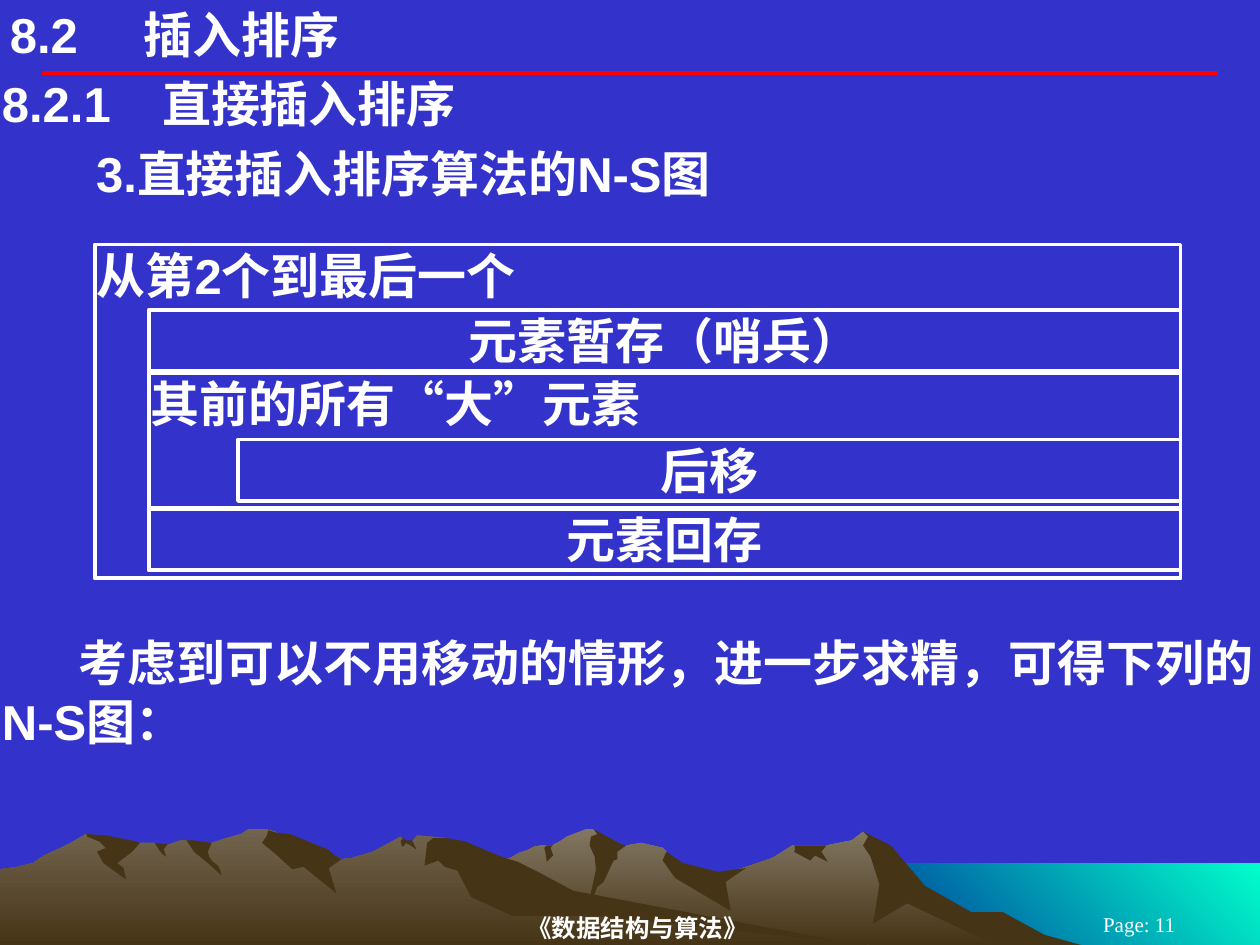
from dataclasses import dataclass

from lxml.etree import SubElement
from pptx import Presentation
from pptx.dml.color import RGBColor as Color
from pptx.enum.shapes import MSO_CONNECTOR as Connector, MSO_SHAPE as Shape
from pptx.enum.text import MSO_ANCHOR as Anchor, MSO_AUTO_SIZE as AutoSize, PP_ALIGN as Align
from pptx.oxml.ns import qn
from pptx.util import Cm, Pt


@dataclass(frozen=True)
class Theme:
    background: str = "3333CC"
    ink: str = "FFFFFF"
    rule: str = "FF0000"
    shade: str = "463416"
    far_slope: tuple = ("837763", "463416")
    near_slope: tuple = ("72644E", "463416")
    water: tuple = ("00FFCC", "003399")
    body_font: str = "Arial"
    footer_font: str = "Times New Roman"
    body_size: int = 28
    footer_size: int = 14
    page_size: int = 12
    line_width: float = 2.25
    inset: float = 0.04


FAR_RIDGE = """802,740 778,727 764,723 723,698 702,671 685,660 676,667 656,671 629,671 613,681
566,697 536,690 529,676 526,673 509,669 497,671 486,673 474,661 471,658 465,658 450,664 444,668
438,671 430,671 424,672 418,675 412,677 405,681 399,683 394,685 355,698 327,709 277,739 258,750
820,750"""
FAR_SHADOWS = (
    """796,724 771,724 734,703 707,671 685,660 689,664 685,671 691,680 698,702 693,733 720,717
    790,750 858,750 829,742""",
    """471,658 474,662 469,664 468,671 472,680 473,690 465,727 474,704 479,700 487,683 490,682
    490,676 497,671 493,670""",
    "529,676 528,678 526,683 536,697 580,723 576,700 592,689 570,692 542,685",
    "650,671 630,671 631,672 631,675 630,676 643,683 647,679 657,684 652,676 656,671",
    "433,677 432,673 434,671 438,671 439,670 437,673 439,679 434,684",
)
NEAR_RIDGE = """690,750 667,748 432,712 354,665 331,663 327,668 323,668 318,664 296,676 279,681
271,682 260,676 236,681 223,663 219,660 212,658 197,658 191,662 180,665 168,669 160,671 148,667
143,667 132,671 128,671 123,669 111,669 94,671 68,662 56,669 46,674 35,679 26,685 14,688 0,690
0,750"""
NEAR_SHADOWS = (
    """212,663 208,669 219,678 232,690 241,688 267,709 261,689 271,682 266,679 260,674 252,671
    238,665 230,662 220,661 213,659""",
    """370,668 354,665 344,665 339,669 337,687 348,683 353,688 363,691 374,712 407,727 472,727
    690,750 683,750 455,707 427,692 411,684 401,681 386,675""",
    """318,667 320,666 318,664 323,667 327,667 330,673 330,674 326,671 322,669 321,671
    319,672""",
    """154,667 161,668 168,669 165,676 166,680 169,684 173,687 175,691 176,695 165,685 154,676
    148,667""",
    "133,670 130,674 132,680 129,678 126,674 123,669",
    """109,668 111,669 105,676 93,685 98,689 100,698 82,685 77,676 84,673 79,668 69,664 69,662
    84,663 94,665""",
)


class SlideBuilder:
    """Hold the theme and the current slide, and add each kind of element."""

    def __init__(self, slide, theme):
        self.slide, self.theme = slide, theme
        slide.background.fill.solid()
        slide.background.fill.fore_color.rgb = Color.from_string(theme.background)

    def paint(self, shape, fill, angle=90):
        shape.shadow.inherit = False
        shape.line.fill.background()
        if isinstance(fill, str):
            shape.fill.solid()
            shape.fill.fore_color.rgb = Color.from_string(fill)
            return
        shape.fill.gradient()
        shape.fill.gradient_angle = 360 - angle
        for stop, color in zip(shape.fill.gradient_stops, fill):
            stop.color.rgb = Color.from_string(color)

    def outline(self, points, fill):
        pairs = [tuple(map(int, pair.split(","))) for pair in points.split()]
        builder = self.slide.shapes.build_freeform(*pairs[0], scale=Cm(2.54) / 100)
        builder.add_line_segments(pairs[1:], close=True)
        self.paint(builder.convert_to_shape(), fill)

    def panel(self, left, top, width, height, fill, angle):
        shape = self.slide.shapes.add_shape(
            Shape.RECTANGLE, Cm(left), Cm(top), Cm(width), Cm(height))
        self.paint(shape, fill, angle)

    def rule(self, left, right, top):
        line = self.slide.shapes.add_connector(
            Connector.STRAIGHT, Cm(left), Cm(top), Cm(right), Cm(top))
        line.line.color.rgb = Color.from_string(self.theme.rule)
        line.line.width = Pt(self.theme.line_width)
        SubElement(line._element.spPr, qn("a:effectLst"))

    def set_text(self, shape, text, align=Align.LEFT, anchor=Anchor.TOP, size=None, font=None,
                 bold=True, inset=None, indent=0, tab=0):
        frame = shape.text_frame
        frame.word_wrap = True
        frame.vertical_anchor = anchor
        frame.margin_left = frame.margin_right = Cm(self.theme.inset if inset is None else inset)
        frame.margin_top = frame.margin_bottom = Cm(0.02)
        paragraph = frame.paragraphs[0]
        paragraph.alignment = align
        properties = paragraph._p.get_or_add_pPr()
        if indent:
            properties.set("indent", str(Cm(indent)))
        if tab:
            tabs = SubElement(properties, qn("a:tabLst"))
            SubElement(tabs, qn("a:tab"), pos=str(Cm(tab)), algn="l")
        run = paragraph.add_run()
        run.text = text
        run.font.name = font or self.theme.body_font
        run.font.size = Pt(size or self.theme.body_size)
        run.font.bold = bold
        run.font.color.rgb = Color.from_string(self.theme.ink)

    def text(self, left, top, width, height, text, **style):
        box = self.slide.shapes.add_textbox(Cm(left), Cm(top), Cm(width), Cm(height))
        self.set_text(box, text, **style)

    def block(self, left, right, top, height, text, align):
        shape = self.slide.shapes.add_shape(
            Shape.RECTANGLE, Cm(left), Cm(top), Cm(right - left), Cm(height))
        shape.shadow.inherit = False
        shape.fill.background()
        shape.line.color.rgb = Color.from_string(self.theme.ink)
        shape.line.width = Pt(self.theme.line_width)
        self.set_text(shape, text, align)
        if align == Align.CENTER:
            shape.text_frame.auto_size = AutoSize.SHAPE_TO_FIT_TEXT


def main():
    presentation = Presentation()
    presentation.slide_width, presentation.slide_height = Cm(25.4), Cm(19.05)
    theme = Theme()
    builder = SlideBuilder(presentation.slides.add_slide(presentation.slide_layouts[6]), theme)

    builder.panel(17.35, 17.4, 8.05, 1.65, theme.water, 135)
    for ridge, slope, shadows in ((FAR_RIDGE, theme.far_slope, FAR_SHADOWS),
                                  (NEAR_RIDGE, theme.near_slope, NEAR_SHADOWS)):
        builder.outline(ridge, slope)
        for shadow in shadows:
            builder.outline(shadow, theme.shade)
    builder.rule(0.84, 24.56, 1.47)

    footer = dict(align=Align.CENTER, anchor=Anchor.MIDDLE, font=theme.footer_font)
    builder.text(5.16, 18.34, 15.39, 0.71, "《数据结构与算法》",
                 size=theme.footer_size, inset=0, **footer)
    builder.text(20.96, 18.42, 4.01, 0.43, "Page: 11",
                 size=theme.page_size, bold=False, inset=0.25, **footer)

    builder.text(0, 1.47, 25.4, 1.24, "8.2.1\t直接插入排序", tab=3.23)
    builder.text(0.2, 0.08, 16.51, 1.2, "8.2\t插入排序", inset=0, tab=2.7)
    builder.text(0, 2.87, 25.4, 1.24, "3.直接插入排序算法的N-S图", indent=1.9)

    chart_right, row_height = 23.8, 1.24
    for left, top, height, text, align in (
            (1.91, 4.93, 6.73, "从第2个到最后一个", Align.LEFT),
            (3, 7.52, 2.72, "其前的所有“大”元素", Align.LEFT),
            (4.8, 8.86, row_height, "后移", Align.CENTER),
            (3, 6.25, row_height, "元素暂存（哨兵）", Align.CENTER),
            (3, 10.26, row_height, "元素回存", Align.CENTER)):
        builder.block(left, chart_right, top, height, text, align)

    builder.text(0, 12.73, 25.4, 2.44,
                 "考虑到可以不用移动的情形，进一步求精，可得下列的N-S图：", indent=1.55)
    presentation.save("out.pptx")


if __name__ == "__main__":
    main()
